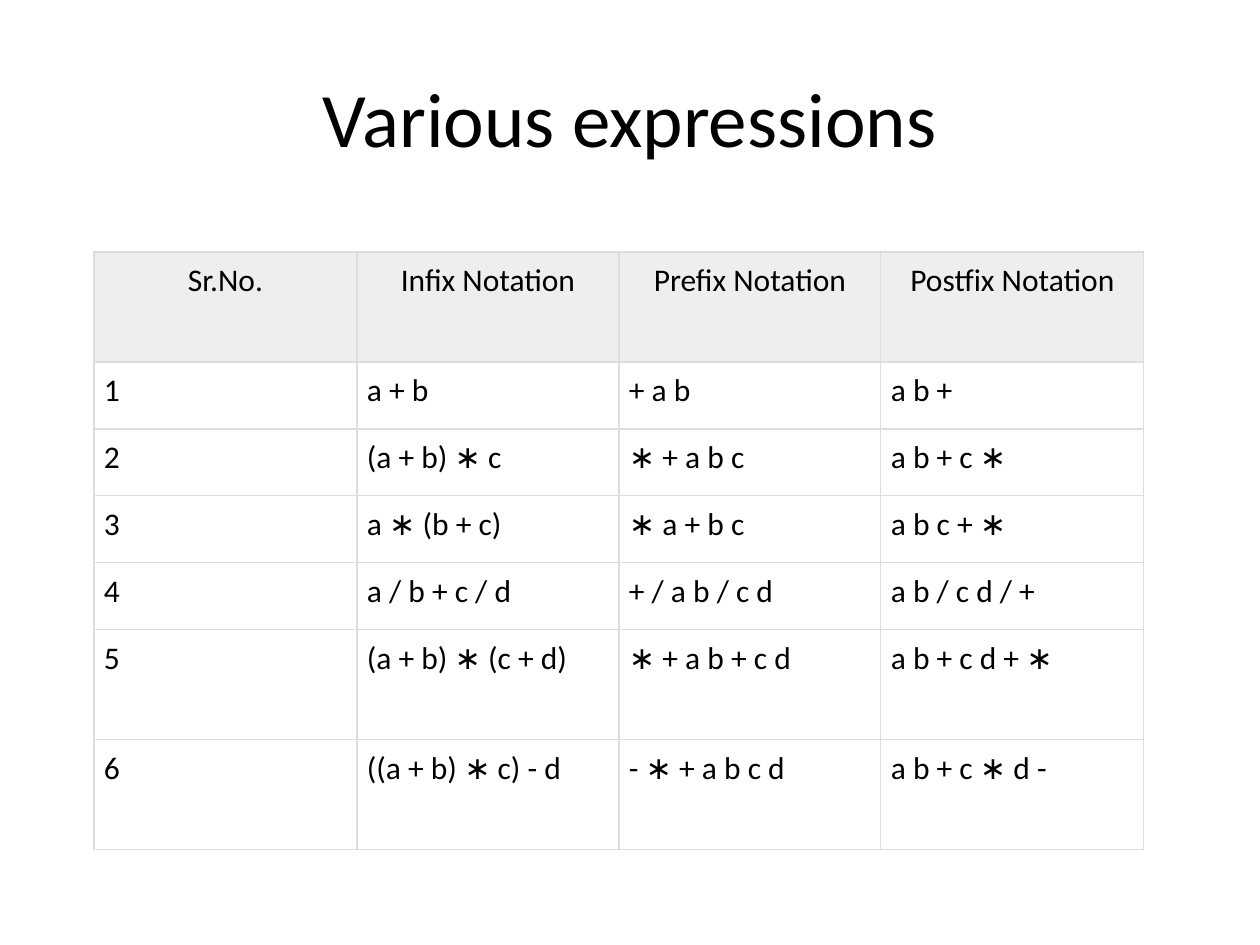
import pptx
import pptx.util
import pptx.dml.color
import pptx.enum.text
import pptx.oxml

PIXEL = 914400 // 126
FONT = "Calibri"
BLACK, HEADER_GRAY, RULE_GRAY = "000000", "EEEEEE", "DDDDDD"
ALIGN = pptx.enum.text.PP_ALIGN
ANCHOR = pptx.enum.text.MSO_ANCHOR

TITLE_BOX = (63, 38, 1134, 157)
TABLE_LEFT, TABLE_TOP = 94, 252
COLUMN_WIDTHS = [263, 262, 262, 263]
TALL_ROW, SHORT_ROW = 110, 67
ROW_HEIGHTS = [TALL_ROW] + [SHORT_ROW] * 4 + [TALL_ROW] * 2
CELL_FORMAT = {f"margin_{side}": 10 * PIXEL
               for side in ("left", "right", "top", "bottom")}
CELL_FORMAT["vertical_anchor"] = ANCHOR.TOP

HEADINGS = ("Sr.No.", "Infix Notation", "Prefix Notation", "Postfix Notation")
EXPRESSIONS = [
    ("a + b", "+ a b", "a b +"),
    ("(a + b) ∗ c", "∗ + a b c", "a b + c ∗"),
    ("a ∗ (b + c)", "∗ a + b c", "a b c + ∗"),
    ("a / b + c / d", "+ / a b / c d", "a b / c d / +"),
    ("(a + b) ∗ (c + d)", "∗ + a b + c d", "a b + c d + ∗"),
    ("((a + b) ∗ c) - d", "- ∗ + a b c d", "a b + c ∗ d -"),
]


def px(length):
    return pptx.util.Emu(length * PIXEL)


def color(hex_value):
    return pptx.dml.color.RGBColor.from_string(hex_value)


def apply_format(target, values):
    for name, value in values.items():
        setattr(target, name, value)


def write_text(frame, text, size, alignment):
    paragraph = frame.paragraphs[0]
    paragraph.alignment = alignment
    run = paragraph.add_run()
    run.text = text
    apply_format(run.font, {"name": FONT, "size": pptx.util.Pt(size), "bold": False})
    run.font.color.rgb = color(BLACK)


def add_borders(cell):
    properties = cell._tc.get_or_add_tcPr()
    namespace = pptx.oxml.ns.nsdecls("a")
    for side in "LRTB":
        properties.append(pptx.oxml.parse_xml(
            f'<a:ln{side} {namespace} w="{pptx.util.Pt(0.75)}"><a:solidFill>'
            f'<a:srgbClr val="{RULE_GRAY}"/></a:solidFill></a:ln{side}>'))


def format_cell(cell, text, is_heading):
    apply_format(cell, CELL_FORMAT)
    add_borders(cell)
    if is_heading:
        cell.fill.solid()
        cell.fill.fore_color.rgb = color(HEADER_GRAY)
    else:
        cell.fill.background()
    write_text(cell.text_frame, text, 18, ALIGN.CENTER if is_heading else ALIGN.LEFT)


def place_title(title, text):
    apply_format(title, dict(zip(("left", "top", "width", "height"), map(px, TITLE_BOX))))
    apply_format(title.text_frame, {"word_wrap": True, "vertical_anchor": ANCHOR.MIDDLE})
    write_text(title.text_frame, text, 44, ALIGN.CENTER)


def add_notation_table(slide):
    # Number the expressions below the headings
    rows = [HEADINGS] + [(str(number), *forms)
                         for number, forms in enumerate(EXPRESSIONS, 1)]
    notations = slide.shapes.add_table(
        len(rows), len(HEADINGS), px(TABLE_LEFT), px(TABLE_TOP),
        px(sum(COLUMN_WIDTHS)), px(sum(ROW_HEIGHTS))).table
    apply_format(notations, {"first_row": False, "horz_banding": False})
    for column, width in zip(notations.columns, COLUMN_WIDTHS):
        column.width = px(width)
    for index, (row, height) in enumerate(zip(notations.rows, ROW_HEIGHTS)):
        row.height = px(height)
        for cell, text in zip(row.cells, rows[index]):
            format_cell(cell, text, index == 0)


def main():
    deck = pptx.Presentation()
    apply_format(deck, {"slide_width": pptx.util.Inches(10),
                        "slide_height": pptx.util.Inches(7.5)})
    # Title Only layout
    slide = deck.slides.add_slide(deck.slide_layouts[5])
    place_title(slide.shapes.title, "Various expressions")
    add_notation_table(slide)
    deck.save("out.pptx")


main()
